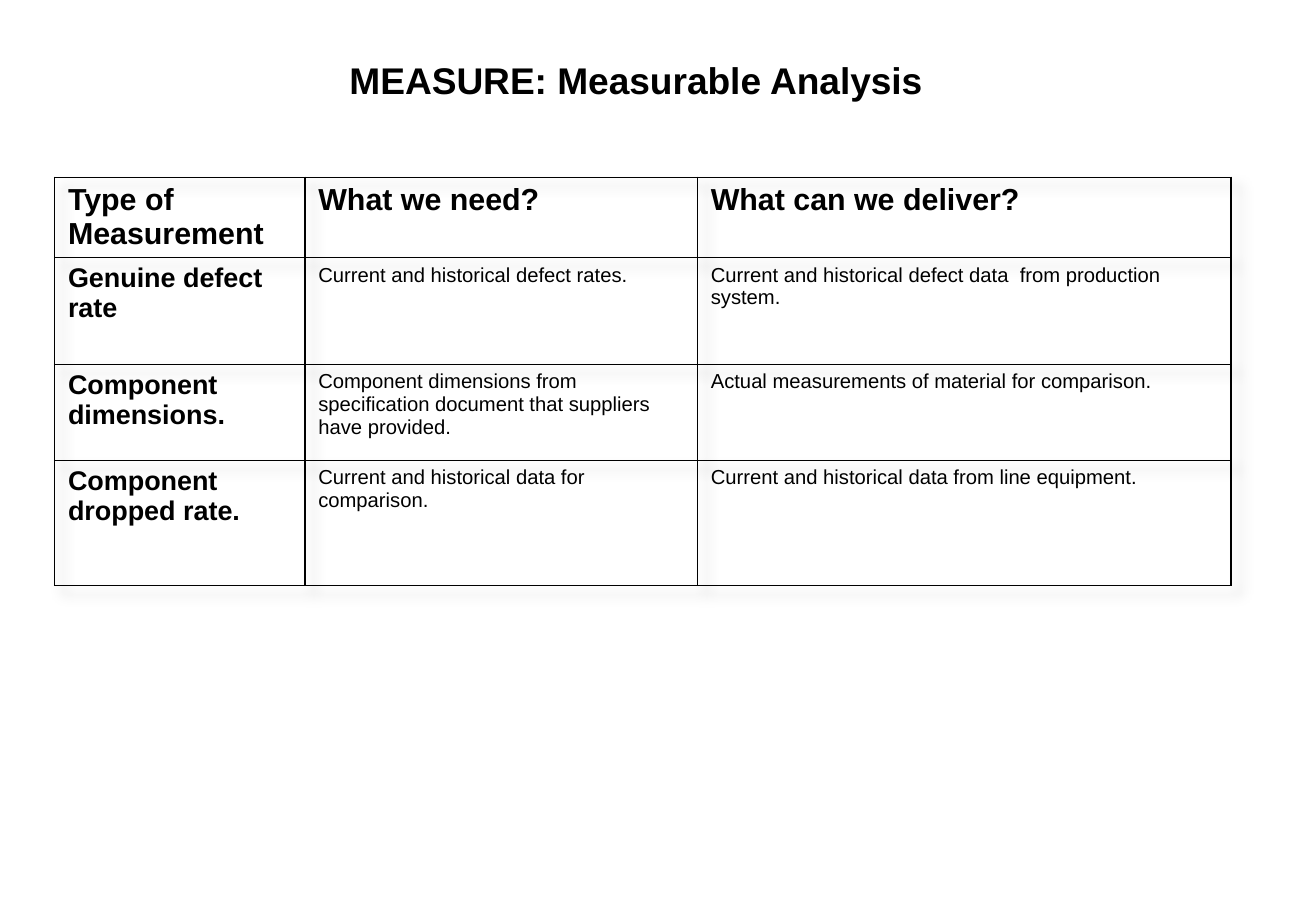
from lxml import etree
from pptx import Presentation
from pptx.dml.color import RGBColor
from pptx.enum.text import MSO_ANCHOR, PP_ALIGN
from pptx.oxml.ns import qn
from pptx.util import Inches, Pt

CENTER = PP_ALIGN.CENTER
LEFT = PP_ALIGN.LEFT
TOP = MSO_ANCHOR.TOP
FONT = "Arial"
BLACK = "000000"
COL_WIDTHS = (2.06, 3.23, 4.39)
ROW_HEIGHTS = (0.66, 0.88, 0.79, 1.03)
ROWS = (
    ("Type of Measurement", "What we need?", "What can we deliver?"),
    ("Genuine defect rate",
     "Current and historical defect rates.",
     "Current and historical defect data  from production system."),
    ("Component dimensions.",
     "Component dimensions from specification document that suppliers have provided.",
     "Actual measurements of material for comparison."),
    ("Component dropped rate.",
     "Current and historical data for comparison.",
     "Current and historical data from line equipment."),
)


def rgb(value):
    """Turn a hex string into a colour."""
    return RGBColor.from_string(value)


def write(tf, text, size=12, bold=False, color=BLACK, align=LEFT, spacing=1.0):
    """Write one formatted paragraph into a text frame."""
    p = tf.paragraphs[0]
    p.alignment = align
    p.line_spacing = spacing
    r = p.add_run()
    r.text = text
    r.font.name = FONT
    r.font.size = Pt(size)
    r.font.bold = bold
    r.font.color.rgb = rgb(color)


def add_color(parent, color):
    """Append a hex colour element and return it."""
    return etree.SubElement(parent, qn("a:srgbClr"), val=color)


def set_borders(cell, color=BLACK, width=1):
    """Draw a solid line on all four sides of a cell."""
    tc_pr = cell._tc.get_or_add_tcPr()
    for i, side in enumerate(("lnL", "lnR", "lnT", "lnB")):
        ln = etree.Element(qn(f"a:{side}"), w=str(Pt(width)))
        add_color(etree.SubElement(ln, qn("a:solidFill")), color)
        tc_pr.insert(i, ln)


def set_shadow(table, blur=0.1, dist=0.1, alpha=25):
    """Give the table a soft shadow to the lower right."""
    effects = etree.Element(qn("a:effectLst"))
    shadow = etree.SubElement(
        effects, qn("a:outerShdw"), blurRad=str(Inches(blur)),
        dist=str(Inches(dist)), dir="2700000", algn="tl", rotWithShape="0")
    etree.SubElement(add_color(shadow, BLACK), qn("a:alpha"), val=str(alpha * 1000))
    table._tbl.tblPr.insert(0, effects)


def add_title(s, text):
    """Add the centred slide title."""
    box = s.shapes.add_textbox(Inches(0.46), Inches(0.29), Inches(9.55), Inches(0.68))
    tf = box.text_frame
    tf.word_wrap = True
    tf.vertical_anchor = TOP
    tf.margin_left = tf.margin_right = tf.margin_top = tf.margin_bottom = 0
    write(tf, text, size=22, bold=True, align=CENTER, spacing=1.5)


def add_measurement_table(s):
    """Add the table of measurements, needs and deliverables."""
    frame = s.shapes.add_table(
        len(ROWS), len(COL_WIDTHS), Inches(0.45), Inches(1.46),
        Inches(sum(COL_WIDTHS)), Inches(sum(ROW_HEIGHTS)))
    table = frame.table
    table.horz_banding = False
    for column, width in zip(table.columns, COL_WIDTHS):
        column.width = Inches(width)
    for row, height in zip(table.rows, ROW_HEIGHTS):
        row.height = Inches(height)
    for i, texts in enumerate(ROWS):
        for j, text in enumerate(texts):
            cell = table.cell(i, j)
            cell.margin_left = cell.margin_right = Inches(0.11)
            cell.margin_top = cell.margin_bottom = Inches(0.05)
            cell.fill.background()
            set_borders(cell)
            size = 18 if i == 0 else 16 if j == 0 else 12
            write(cell.text_frame, text, size=size, bold=i == 0 or j == 0)
    set_shadow(table)


def main():
    """Build and save the slide."""
    prs = Presentation()
    prs.slide_width = Inches(10.83)
    prs.slide_height = Inches(7.5)
    s = prs.slides.add_slide(prs.slide_layouts[6])
    add_measurement_table(s)
    add_title(s, "MEASURE: Measurable Analysis")
    prs.save("out.pptx")


main()
